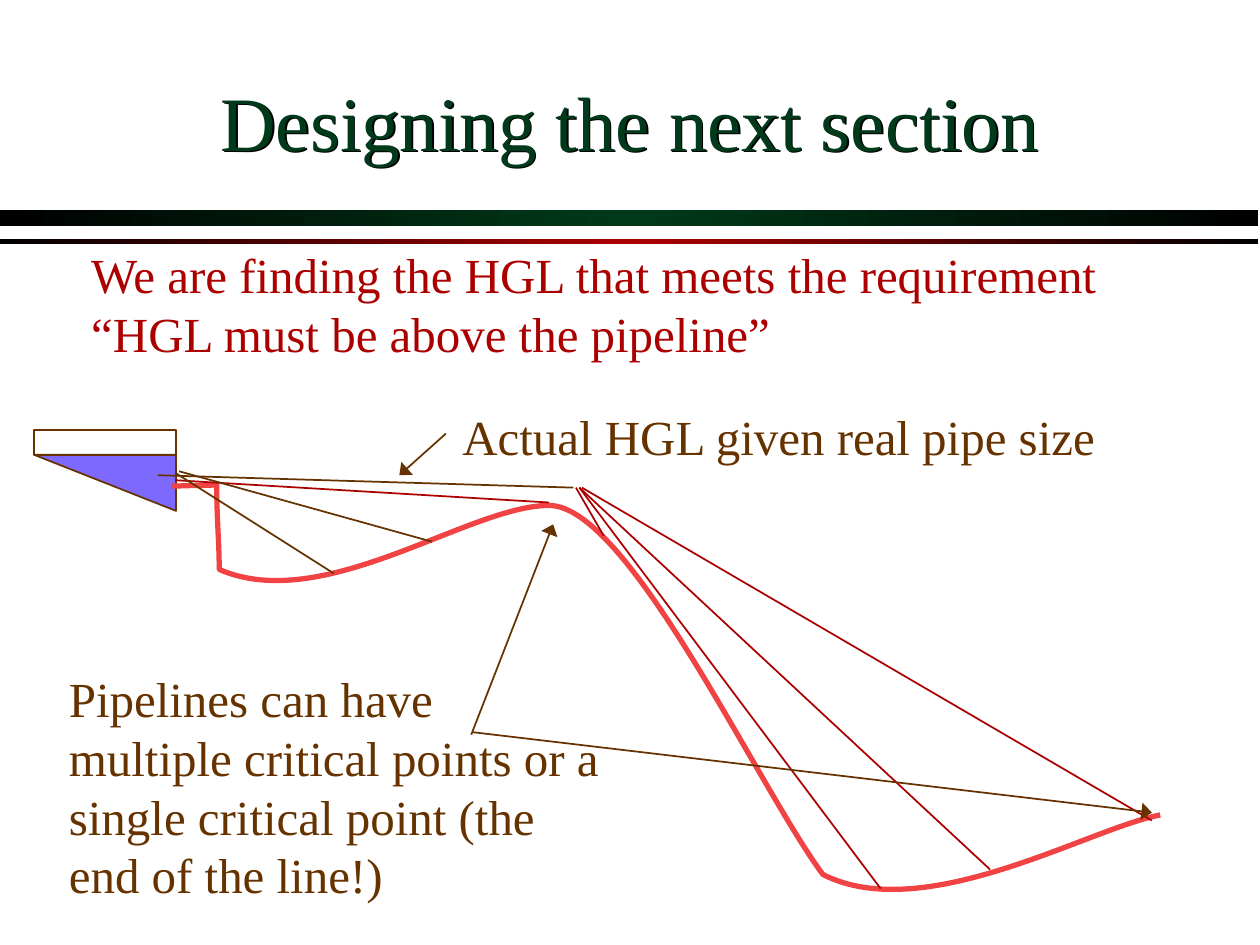
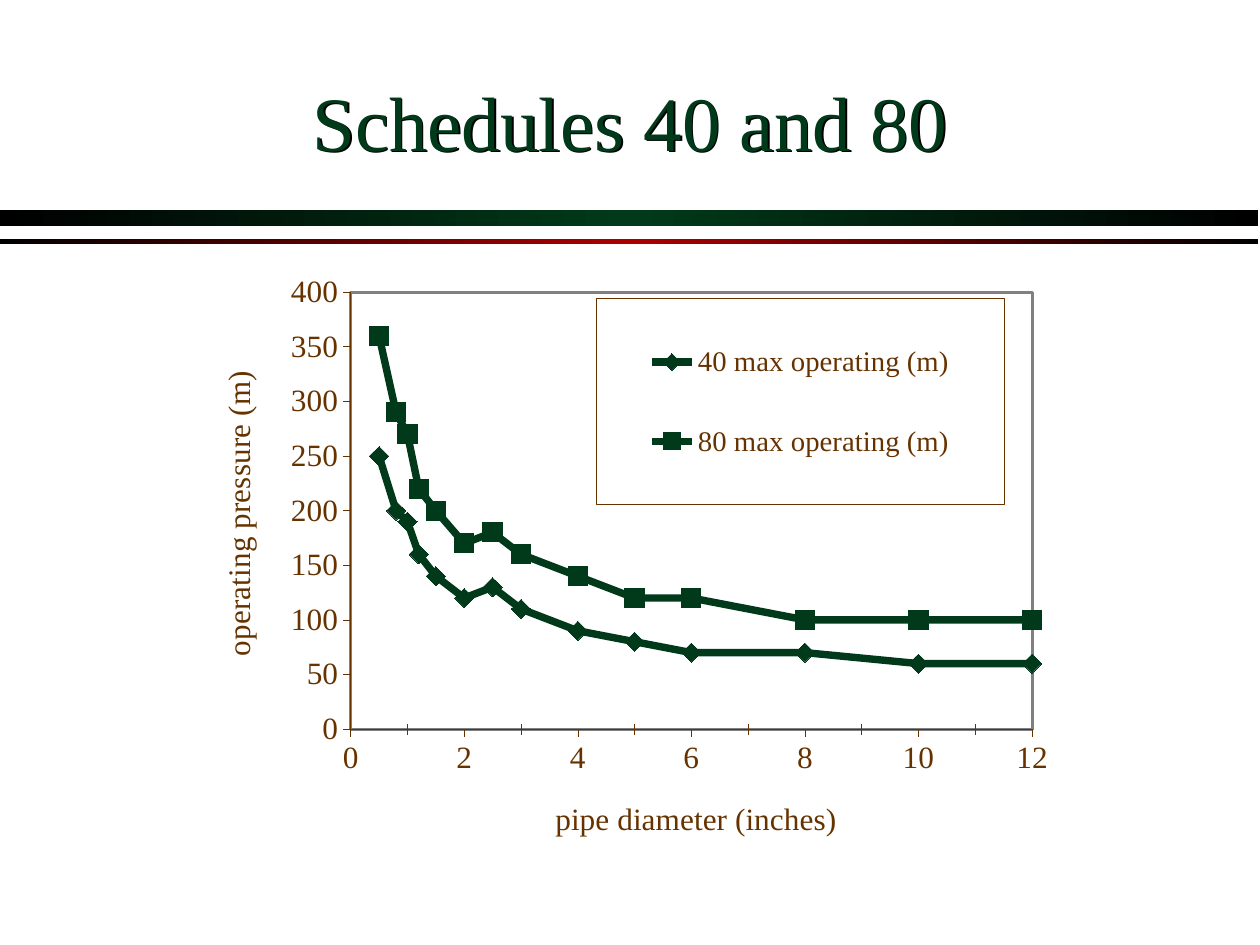
import lxml.etree
import pptx
import pptx.chart.data
import pptx.dml.color
import pptx.enum.chart
import pptx.enum.shapes
import pptx.enum.text
import pptx.oxml
import pptx.oxml.ns
import pptx.util

Cm, Pt = pptx.util.Cm, pptx.util.Pt
FONT = "Times New Roman"
COLORS = {
    "black": "000000", "green": "003A1A", "red": "AC0000", "brown": "663300",
    "water": "7E69FF", "pipe": "F14343", "gray": "808080",
}

# Shared by both slides, lengths in cm
TITLE_BOX = (1.91, 0.84, 21.59, 3.17)
BANDS = [((0, 4.24, 25.37, 0.31), "green"), ((0, 4.82, 25.37, 0.1), "red")]

# Pipeline slide, lengths in cm
PIPELINE_TITLE = "Designing the next section"
WATER_OUTLINE = [(0.69, 9.17), (3.55, 10.3), (3.55, 9.17)]
TANK_BOX = (0.69, 8.67, 2.86, 0.5)
PIPE_START = (3.45, 9.8)
PIPE_CURVES = [  # two control points and an end point each
    ((3.61, 9.8), (3.99, 9.78), (4.37, 9.78)),
    ((4.37, 10.52), (4.42, 10.9), (4.42, 11.48)),
    ((6.53, 12.4), (9.45, 10.19), (11.07, 10.19)),
    ((12.67, 10.19), (15.27, 15.85), (16.59, 17.63)),
    ((18.64, 18.67), (21.97, 16.69), (23.39, 16.43)),
]
GRADE_LINES = [  # start, end, color
    ((3.53, 9.68), (11.07, 10.13), "red"),
    ((3.18, 9.58), (11.56, 9.83), "brown"),
    ((11.61, 9.83), (12.17, 10.8), "red"),
    ((11.68, 9.83), (17.75, 17.91), "red"),
    ((11.68, 9.83), (19.96, 17.53), "red"),
    ((11.73, 9.83), (23.22, 16.54), "red"),
    ((3.53, 9.53), (6.73, 11.56), "brown"),
    ((3.61, 9.5), (8.71, 10.92), "brown"),
]
ARROWS = [
    ((8.99, 8.74), (8.05, 9.58), "brown"),
    ((9.5, 14.81), (11.15, 10.57), "brown"),
    ((9.53, 14.76), (23.22, 16.38), "brown"),
]
NOTES = [  # box, text, color, wraps
    ((9.07, 8.08, 13.31, 1.45), "Actual HGL given real pipe size", "brown", False),
    ((1.14, 13.35, 11.28, 5), "Pipelines can have multiple critical points or a "
     "single critical point (the end of the line!)", "brown", True),
    ((1.59, 4.8, 20.96, 2.62), "We are finding the HGL that meets the requirement "
     "“HGL must be above the pipeline”", "red", True),
]

# Chart slide
CHART_TITLE = "Schedules 40 and 80"
CHART_BOX = (4, 4.97, 18.49, 12.09)
DIAMETERS = [0.5, 0.8, 1, 1.2, 1.5, 2, 2.5, 3, 4, 5, 6, 8, 10, 12]
MARKERS = pptx.enum.chart.XL_MARKER_STYLE
PRESSURES = [
    ("40 max operating (m)", MARKERS.DIAMOND,
     [250, 200, 190, 160, 140, 120, 130, 110, 90, 80, 70, 70, 60, 60]),
    ("80 max operating (m)", MARKERS.SQUARE,
     [360, 290, 270, 220, 200, 170, 180, 160, 140, 120, 120, 100, 100, 100]),
]
# Places in fractions of the chart
PLOT_AREA = (0.166, 0.077, 0.743, 0.736)
LEGEND_AREA = (0.434, 0.088, 0.445, 0.347)
DIAMETER_TITLE_PLACE = (0.383, 0.922)
PRESSURE_TITLE_PLACE = (0.016, 0.205)


def rgb(name):
    """Return the named color."""
    return pptx.dml.color.RGBColor.from_string(COLORS[name])


def lengths(values):
    """Turn numbers in cm into lengths."""
    return [Cm(value) for value in values]


def style_font(font, size, color):
    """Set typeface, size and color of a font."""
    font.name, font.size, font.bold = FONT, Pt(size), False
    font.color.rgb = rgb(color)


def style_line(line, color, width):
    """Set a solid line."""
    line.color.rgb = rgb(color)
    line.width = Pt(width)


def style_shape(shape, fill=None, line=None, width=1):
    """Set fill and line of a shape and drop its shadow."""
    shape.shadow.inherit = False
    if fill:
        shape.fill.solid()
        shape.fill.fore_color.rgb = rgb(fill)
    else:
        shape.fill.background()
    if line:
        style_line(shape.line, line, width)
    else:
        shape.line.fill.background()


def add_rectangle(slide, box):
    """Add a rectangle."""
    return slide.shapes.add_shape(pptx.enum.shapes.MSO_SHAPE.RECTANGLE, *lengths(box))


def add_band(slide, box, color):
    """Add a band that fades from its middle color to black at both ends."""
    band = add_rectangle(slide, box)
    style_shape(band)
    band.fill.gradient()
    band.fill.gradient_angle = 0
    stop_list = band.fill._fill._gradFill.gsLst
    lxml.etree.SubElement(stop_list, pptx.oxml.ns.qn("a:gs"), pos="100000")
    names = ("black", color, "black")
    for index, (stop, name) in enumerate(zip(band.fill.gradient_stops, names)):
        stop.color.rgb = rgb(name)
        stop.position = index / 2


def add_titled_slide(presentation, text):
    """Add a slide with the shared bands and shadowed title."""
    slide = presentation.slides.add_slide(presentation.slide_layouts[5])
    for box, color in BANDS:
        add_band(slide, box, color)
    title = slide.shapes.title
    title.left, title.top, title.width, title.height = lengths(TITLE_BOX)
    title.text_frame.text = text
    title.text_frame.vertical_anchor = pptx.enum.text.MSO_ANCHOR.MIDDLE
    paragraph = title.text_frame.paragraphs[0]
    paragraph.alignment = pptx.enum.text.PP_ALIGN.CENTER
    style_font(paragraph.font, 44, "green")
    title.fill.background()
    title._element.spPr.append(pptx.oxml.parse_xml(
        f'<a:effectLst {pptx.oxml.ns.nsdecls("a")}>'
        f'<a:outerShdw dist="{Pt(1.4)}" dir="2700000" algn="ctr">'
        f'<a:srgbClr val="{COLORS["black"]}"/></a:outerShdw></a:effectLst>'))
    return slide


def add_line(slide, start, end, color, arrow=False):
    """Add a thin straight line, with an arrowhead at its end if asked."""
    connector = slide.shapes.add_connector(
        pptx.enum.shapes.MSO_CONNECTOR.STRAIGHT, *lengths(start + end))
    style_line(connector.line, color, 1)
    if arrow:
        lxml.etree.SubElement(connector.line._get_or_add_ln(),
                              pptx.oxml.ns.qn("a:tailEnd"), type="triangle", w="lg")
    lxml.etree.SubElement(connector._element.spPr, pptx.oxml.ns.qn("a:effectLst"))


def add_note(slide, box, text, color, wraps):
    """Add a text box."""
    frame = slide.shapes.add_textbox(*lengths(box)).text_frame
    frame.word_wrap = wraps
    frame.auto_size = pptx.enum.text.MSO_AUTO_SIZE.SHAPE_TO_FIT_TEXT
    frame.text = text
    style_font(frame.paragraphs[0].font, 28, color)


def add_outline(slide, points, closed):
    """Add a freeform through points in cm."""
    first, *others = [lengths(point) for point in points]
    builder = slide.shapes.build_freeform(*first)
    builder.add_line_segments(others, close=closed)
    return builder.convert_to_shape()


def add_curve(slide, start, curves):
    """Add a chain of cubic curves: an outline whose points become controls."""
    points = [start] + [point for curve in curves for point in curve]
    shape = add_outline(slide, points, False)
    segments = list(shape._element.iter(pptx.oxml.ns.qn("a:lnTo")))
    for index in range(0, len(segments), 3):
        curve = pptx.oxml.parse_xml(
            f'<a:cubicBezTo {pptx.oxml.ns.nsdecls("a")}/>')
        segments[index].addprevious(curve)
        for segment in segments[index:index + 3]:
            curve.append(segment[0])
            segment.getparent().remove(segment)
    return shape


def add_pipeline_slide(presentation):
    """Build the slide with the pipeline and its grade lines."""
    slide = add_titled_slide(presentation, PIPELINE_TITLE)
    style_shape(add_outline(slide, WATER_OUTLINE, True), "water", "brown")
    style_shape(add_rectangle(slide, TANK_BOX), line="brown")
    style_shape(add_curve(slide, PIPE_START, PIPE_CURVES), line="pipe", width=3)
    for line in GRADE_LINES:
        add_line(slide, *line)
    for arrow in ARROWS:
        add_line(slide, *arrow, arrow=True)
    for note in NOTES:
        add_note(slide, *note)


def place_part(element, area, index, inner=False):
    """Give a chart part a fixed place, in fractions of the chart."""
    for layout in element.findall(pptx.oxml.ns.qn("c:layout")):
        element.remove(layout)
    target = '<c:layoutTarget val="inner"/>' if inner else ""
    modes = '<c:xMode val="edge"/><c:yMode val="edge"/>'
    sizes = "".join(f'<c:{key} val="{value}"/>' for key, value in zip("xywh", area))
    element.insert(index, pptx.oxml.parse_xml(
        f'<c:layout {pptx.oxml.ns.nsdecls("c")}><c:manualLayout>'
        f'{target}{modes}{sizes}</c:manualLayout></c:layout>'))


def add_frame(element, index, color, width):
    """Outline a chart part."""
    element.insert(index, pptx.oxml.parse_xml(
        f'<c:spPr {pptx.oxml.ns.nsdecls("c", "a")}><a:noFill/><a:ln w="{Pt(width)}">'
        f'<a:solidFill><a:srgbClr val="{COLORS[color]}"/></a:solidFill></a:ln></c:spPr>'))


def style_axis(axis, title, place, maximum, step):
    """Set scale, ticks, title and font of an axis."""
    axis.minimum_scale, axis.maximum_scale, axis.major_unit = 0, maximum, step
    axis.has_major_gridlines = False
    axis.major_tick_mark = pptx.enum.chart.XL_TICK_MARK.OUTSIDE
    axis.minor_tick_mark = pptx.enum.chart.XL_TICK_MARK.NONE
    axis.tick_labels.number_format = "0"
    axis.tick_labels.number_format_is_linked = False
    style_font(axis.tick_labels.font, 17.9, "brown")
    style_line(axis.format.line, "brown", 0.35)
    axis.axis_title.text_frame.text = title
    style_font(axis.axis_title.text_frame.paragraphs[0].font, 17.9, "brown")
    place_part(axis.axis_title._element, place, 1)


def add_chart_slide(presentation):
    """Build the slide with the pressure chart."""
    slide = add_titled_slide(presentation, CHART_TITLE)
    data = pptx.chart.data.XyChartData()
    for name, _, pressures in PRESSURES:
        series = data.add_series(name)
        for diameter, pressure in zip(DIAMETERS, pressures):
            series.add_data_point(diameter, pressure)
    chart = slide.shapes.add_chart(pptx.enum.chart.XL_CHART_TYPE.XY_SCATTER_LINES,
                                   *lengths(CHART_BOX), data).chart
    chart.has_title = False
    style_font(chart.font, 17.9, "brown")
    chart.plots[0].vary_by_categories = False
    for series, (_, marker, _) in zip(chart.plots[0].series, PRESSURES):
        series.smooth = False
        style_line(series.format.line, "green", 4.21)
        series.marker.style, series.marker.size = marker, 11
        series.marker.format.fill.solid()
        series.marker.format.fill.fore_color.rgb = rgb("green")
        style_line(series.marker.format.line, "green", 0.75)
    style_axis(chart.category_axis, "pipe diameter (inches)",
               DIAMETER_TITLE_PLACE, 12, 2)
    chart.category_axis.minor_unit = 1
    chart.category_axis.minor_tick_mark = pptx.enum.chart.XL_TICK_MARK.CROSS
    style_axis(chart.value_axis, "operating pressure (m)",
               PRESSURE_TITLE_PLACE, 400, 50)

    plot_area = chart._chartSpace.chart.plotArea
    place_part(plot_area, PLOT_AREA, 0, inner=True)
    add_frame(plot_area, len(plot_area), "gray", 1.75)
    chart.has_legend = True
    chart.legend.position = pptx.enum.chart.XL_LEGEND_POSITION.RIGHT
    chart.legend.include_in_layout = False
    style_font(chart.legend.font, 16.4, "brown")
    legend = chart.legend._element
    place_part(legend, LEGEND_AREA, 1)
    add_frame(legend, 3, "brown", 0.35)


def main():
    """Build and save the presentation."""
    presentation = pptx.Presentation()
    presentation.slide_width, presentation.slide_height = Cm(25.4), Cm(19.05)
    add_pipeline_slide(presentation)
    add_chart_slide(presentation)
    presentation.save("out.pptx")


main()
